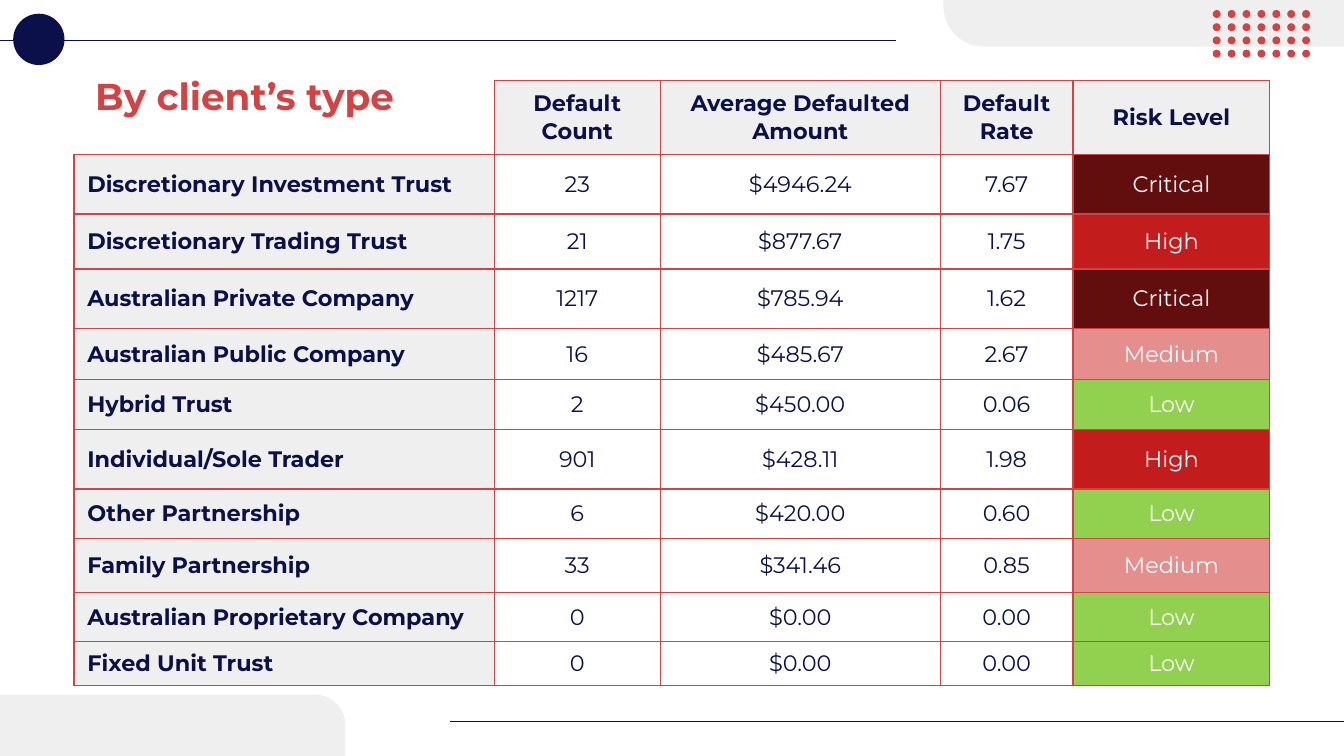
import dataclasses
import lxml.etree
import pptx
import pptx.dml.color
import pptx.enum.shapes
import pptx.enum.text
import pptx.oxml.ns
import pptx.util

Cm, Pt = pptx.util.Cm, pptx.util.Pt
RGB = pptx.dml.color.RGBColor.from_string
SHAPE = pptx.enum.shapes.MSO_SHAPE
ALIGN = pptx.enum.text.PP_ALIGN
qn = pptx.oxml.ns.qn


@dataclasses.dataclass(frozen=True)
class Theme:
    font: str = "Montserrat"
    navy: str = "0B104B"
    red: str = "D44343"
    grey: str = "EFEFEF"
    white: str = "FFFFFF"
    title: float = 20
    text: float = 12
    rule: float = 0.75


THEME = Theme()
RISKS = {"Critical": "620E0E", "High": "C31C1C", "Medium": "E58E8E", "Low": "92D050"}
COLS = [7.94, 3.14, 5.29, 2.51, 3.72]
HEAD = ["", "Default Count", "Average Defaulted Amount", "Default Rate", "Risk Level"]
HEAD_H = 1.32
ROWS = [
    (1.13, "Discretionary Investment Trust", "23", "$4946.24", "7.67", "Critical"),
    (1.04, "Discretionary Trading Trust", "21", "$877.67", "1.75", "High"),
    (1.13, "Australian Private Company", "1217", "$785.94", "1.62", "Critical"),
    (0.96, "Australian Public Company", "16", "$485.67", "2.67", "Medium"),
    (0.95, "Hybrid Trust", "2", "$450.00", "0.06", "Low"),
    (1.12, "Individual/Sole Trader", "901", "$428.11", "1.98", "High"),
    (0.94, "Other Partnership", "6", "$420.00", "0.60", "Low"),
    (1.01, "Family Partnership", "33", "$341.46", "0.85", "Medium"),
    (0.94, "Australian Proprietary Company", "0", "$0.00", "0.00", "Low"),
    (0.82, "Fixed Unit Trust", "0", "$0.00", "0.00", "Low"),
]


def put(thing, **values):
    for name, value in values.items():
        setattr(thing, name, value)


def style(para, size, color, bold, align):
    para.alignment = align
    for run in para.runs:
        put(run.font, name=THEME.font, size=Pt(size), bold=bold)
        run.font.color.rgb = RGB(color)


def add_form(slide, kind, box, color):
    form = slide.shapes.add_shape(kind, *map(Cm, box))
    form.shadow.inherit = False
    form.fill.solid()
    form.fill.fore_color.rgb = RGB(color)
    form.line.fill.background()
    return form


def add_rule(slide, left, right, y):
    rule = slide.shapes.add_connector(
        pptx.enum.shapes.MSO_CONNECTOR.STRAIGHT, Cm(left), Cm(y), Cm(right), Cm(y))
    rule.line.width = Pt(THEME.rule)
    rule.line.color.rgb = RGB(THEME.navy)
    lxml.etree.SubElement(rule._element.spPr, qn("a:effectLst"))


def add_dots(slide, box, cols=7, rows=4, size=0.15):
    left, top, width, height = box
    for row in range(rows):
        for col in range(cols):
            x = left + col * (width - size) / (cols - 1)
            y = top + row * (height - size) / (rows - 1)
            add_form(slide, SHAPE.OVAL, (x, y, size, size), THEME.red)


def add_decor(slide, box):
    """Place the rules, corner panels, disc and dots along the edges of the box."""
    left, top, width, height = box
    right, base = left + width, top + height
    add_rule(slide, right - 16.9, right, base - 0.65)
    add_rule(slide, left, left + 16.94, top + 0.76)
    add_form(slide, SHAPE.OVAL, (left + 0.25, top + 0.26, 0.97, 0.97), THEME.navy)
    panels = [((right - 7.57, top - 0.64, 7.77, 1.52), 180),
              ((left, base - 1.16, 6.53, 1.16), 0)]
    for place, turn in panels:
        panel = add_form(slide, SHAPE.ROUND_1_RECTANGLE, place, THEME.grey)
        panel.adjustments[0] = 0.5
        panel.rotation = turn
    add_dots(slide, (right - 2.48, top + 0.19, 1.84, 0.9))


def add_title(slide, box, text):
    title = slide.shapes.title
    left, top, width, height = map(Cm, box)
    put(title, left=left, top=top, width=width, height=height)
    frame = title.text_frame
    frame.text = text
    gap = Cm(0.25)
    put(frame, margin_left=gap, margin_right=gap, margin_top=gap, margin_bottom=gap,
        word_wrap=True, auto_size=pptx.enum.text.MSO_AUTO_SIZE.NONE,
        vertical_anchor=pptx.enum.text.MSO_ANCHOR.TOP)
    style(frame.paragraphs[0], THEME.title, THEME.red, True, ALIGN.CENTER)


def edge(cell, shown):
    """Draw the cell's borders on the sides named in shown and clear the others."""
    props = cell._tc.get_or_add_tcPr()
    for spot, side in enumerate("LRTB"):
        line = lxml.etree.SubElement(props, qn("a:ln" + side), w=str(Pt(THEME.rule)))
        if side in shown:
            fill = lxml.etree.SubElement(line, qn("a:solidFill"))
            lxml.etree.SubElement(fill, qn("a:srgbClr"), val=THEME.red)
        else:
            lxml.etree.SubElement(line, qn("a:noFill"))
        props.insert(spot, line)


def fill_cell(cell, text, row, col):
    head, label = row == 0, col == 0
    blank = head and label
    back = THEME.grey if head or label else RISKS.get(text)
    if back and not blank:
        cell.fill.solid()
        cell.fill.fore_color.rgb = RGB(back)
    else:
        cell.fill.background()
    side = Cm(0.25 if head or label else 0)
    ends = Cm(0.18 if head else 0)
    put(cell, text=text, margin_left=side, margin_right=side, margin_top=ends,
        margin_bottom=ends, vertical_anchor=pptx.enum.text.MSO_ANCHOR.MIDDLE)
    color = THEME.white if text in RISKS else THEME.navy
    align = ALIGN.LEFT if label else ALIGN.CENTER
    style(cell.text_frame.paragraphs[0], THEME.text, color, head or label, align)
    edge(cell, "RB" if blank else "LRTB")


def add_grid(slide, box):
    lines = [HEAD] + [row[1:] for row in ROWS]
    highs = [HEAD_H] + [row[0] for row in ROWS]
    grid = slide.shapes.add_table(len(lines), len(COLS), *map(Cm, box)).table
    put(grid, first_row=False, horz_banding=False)
    for col, width in zip(grid.columns, COLS):
        col.width = Cm(width)
    for row, height in zip(grid.rows, highs):
        row.height = Cm(height)
    for r, line in enumerate(lines):
        for c, text in enumerate(line):
            fill_cell(grid.cell(r, c), text, r, c)


def main():
    deck = pptx.Presentation()
    wide, high = 25.4, 14.29
    put(deck, slide_width=Cm(wide), slide_height=Cm(high))
    slide = deck.slides.add_slide(deck.slide_layouts[5])
    add_decor(slide, (0, 0, wide, high))
    add_grid(slide, (1.4, 1.52, sum(COLS), HEAD_H + sum(row[0] for row in ROWS)))
    add_title(slide, (1.4, 1.14, 6.45, 1.6), "By client’s type")
    deck.save("out.pptx")


if __name__ == "__main__":
    main()
